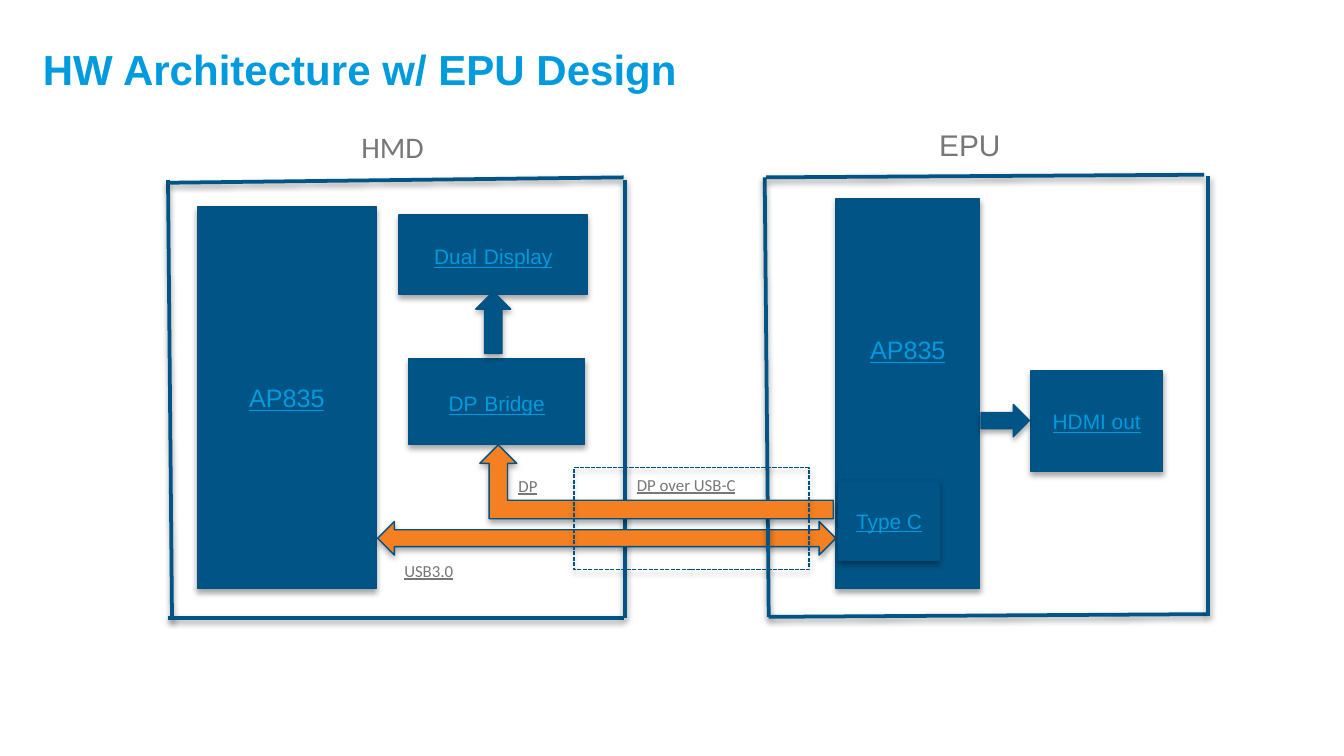
from dataclasses import dataclass

from lxml import etree
from pptx import Presentation
from pptx import util as u
from pptx.dml.color import RGBColor
from pptx.enum import dml, shapes, text
from pptx.oxml.ns import qn


@dataclass(frozen=True)
class Theme:
    """Colours, fonts and type sizes of the slide."""
    title: RGBColor = RGBColor(0x00, 0x9B, 0xDE)
    block_text: RGBColor = RGBColor(0x00, 0x9A, 0xDD)
    label: RGBColor = RGBColor(0x77, 0x77, 0x79)
    block: RGBColor = RGBColor(0x00, 0x54, 0x86)
    outline: RGBColor = RGBColor(0x00, 0x52, 0x83)
    signal: RGBColor = RGBColor(0xF5, 0x80, 0x21)
    heading_font: str = "Arial"
    label_font: str = "Calibri"
    title_size: float = 22.5
    unit_size: float = 16
    chip_size: float = 13.5
    block_size: float = 11.2
    label_size: float = 9
    outline_width: float = 0.75
    frame_width: float = 2


THEME = Theme()
PRESET = shapes.MSO_SHAPE
SLIDE_WIDTH = 10
SLIDE_HEIGHT = SLIDE_WIDTH * 9 / 16


def apply(target, values):
    """Set each named attribute on the target."""
    for name, value in values.items():
        setattr(target, name, value)


def inches(*values):
    """Turn plain numbers into lengths."""
    return [u.Inches(value) for value in values]


def add_shadow(shape, distance, opacity):
    """Give a shape or connector a soft shadow straight below it."""
    effects = etree.SubElement(shape._element.spPr, qn("a:effectLst"))
    shadow = etree.SubElement(effects, qn("a:outerShdw"), blurRad="40000",
                              dist=str(distance), dir="5400000", rotWithShape="0")
    colour = etree.SubElement(shadow, qn("a:srgbClr"), val="000000")
    etree.SubElement(colour, qn("a:alpha"), val=str(opacity * 1000))


def add_run(paragraph, words, size, colour, font=THEME.heading_font, **style):
    """Append one formatted run to a paragraph."""
    run = paragraph.add_run()
    run.text = words
    apply(run.font, {"size": u.Pt(size), "name": font, **style})
    run.font.color.rgb = colour


def add_label(slide, box, words, size, colour=THEME.label,
              anchor=text.MSO_ANCHOR.TOP, **style):
    """Add a wrapping text box with a single line."""
    frame = slide.shapes.add_textbox(*inches(*box)).text_frame
    apply(frame, {"word_wrap": True, "vertical_anchor": anchor})
    add_run(frame.paragraphs[0], words, size, colour, **style)


def add_figure(slide, preset, box, fill=THEME.block, rotation=0):
    """Add an outlined, shadowed preset shape; no fill leaves it hollow."""
    shape = slide.shapes.add_shape(preset, *inches(*box))
    shape.rotation = rotation
    if fill is None:
        shape.fill.background()
    else:
        shape.fill.solid()
        shape.fill.fore_color.rgb = fill
    shape.line.color.rgb = THEME.outline
    shape.line.width = u.Pt(THEME.outline_width)
    add_shadow(shape, 23000, 35)
    return shape


def add_block(slide, box, *words, size=THEME.block_size, bottom=0.05):
    """Add a hardware block whose words are parted by a wider space."""
    frame = add_figure(slide, PRESET.RECTANGLE, box).text_frame
    apply(frame, {"word_wrap": True, "margin_bottom": u.Inches(bottom),
                  "vertical_anchor": text.MSO_ANCHOR.MIDDLE})
    paragraph = frame.paragraphs[0]
    paragraph.alignment = text.PP_ALIGN.CENTER
    for index, word in enumerate(words):
        if index:
            add_run(paragraph, " ", THEME.chip_size, THEME.block_text, underline=True)
        add_run(paragraph, word, size, THEME.block_text, underline=True)


def add_frame(slide, sides):
    """Draw the lines that enclose one unit."""
    for side in sides:
        line = slide.shapes.add_connector(shapes.MSO_CONNECTOR.STRAIGHT, *inches(*side))
        line.line.color.rgb = THEME.block
        line.line.width = u.Pt(THEME.frame_width)
        add_shadow(line, 20000, 38)


def add_headset(slide):
    """Draw the HMD unit."""
    add_block(slide, (2.97, 1.6, 1.4, 0.59), "Dual", "Display")
    add_label(slide, (2.59, 0.91, 1.17, 0.46), "HMD", THEME.unit_size,
              font=THEME.label_font)
    for box, words in (((3.76, 3.49, 0.76, 0.31), "DP"),
                       ((4.64, 3.48, 1.28, 0.31), "DP over USB-C"),
                       ((2.91, 4.12, 0.73, 0.31), "USB3.0")):
        add_label(slide, box, words, THEME.label_size,
                  font=THEME.label_font, underline=True)
    add_block(slide, (3.04, 2.67, 1.31, 0.64), "DP", "Bridge")
    add_figure(slide, PRESET.DOWN_ARROW, (3.54, 2.17, 0.26, 0.46), rotation=180)
    add_block(slide, (1.47, 1.54, 1.33, 2.84), "AP835", size=THEME.chip_size)
    add_frame(slide, ((1.25, 1.34, 1.28, 4.61), (1.25, 1.36, 4.64, 1.32),
                      (1.25, 4.6, 4.64, 4.6), (4.65, 1.34, 4.65, 4.6)))


def add_processing_unit(slide):
    """Draw the EPU unit."""
    add_label(slide, (6.89, 0.89, 1.17, 0.47), "EPU", THEME.unit_size)
    add_block(slide, (6.22, 1.48, 1.07, 2.9), "AP835", size=THEME.chip_size, bottom=0.71)
    add_frame(slide, ((5.69, 1.32, 5.72, 4.59), (5.7, 1.32, 8.96, 1.3),
                      (5.72, 4.59, 8.98, 4.57), (8.99, 1.31, 8.99, 4.58)))
    add_block(slide, (7.67, 2.76, 0.98, 0.75), "HDMI out")
    add_figure(slide, PRESET.RIGHT_ARROW, (7.3, 3.01, 0.36, 0.24))


def add_display_link(slide):
    """Draw the DP path, its cable outline and the Type C port."""
    path_arrow = add_figure(slide, PRESET.BENT_UP_ARROW, (3.57, 3.31, 2.63, 0.55),
                            THEME.signal, rotation=180)
    path_arrow._element.spPr.xfrm.set("flipV", "1")
    cable = add_figure(slide, PRESET.RECTANGLE, (4.27, 3.48, 1.75, 0.76), None)
    cable.line.dash_style = dml.MSO_LINE.SQUARE_DOT
    add_block(slide, (6.24, 3.58, 0.75, 0.59), "Type C")


def main():
    """Build and save the slide."""
    presentation = Presentation()
    apply(presentation, {"slide_width": u.Inches(SLIDE_WIDTH),
                         "slide_height": u.Inches(SLIDE_HEIGHT)})
    slide = presentation.slides.add_slide(presentation.slide_layouts[6])
    add_label(slide, (0.22, 0.26, 9.61, 0.51), "HW Architecture w/ EPU Design",
              THEME.title_size, THEME.title, text.MSO_ANCHOR.MIDDLE, bold=True)
    add_headset(slide)
    add_figure(slide, PRESET.LEFT_RIGHT_ARROW, (2.81, 3.88, 3.41, 0.25), THEME.signal)
    add_processing_unit(slide)
    add_display_link(slide)
    presentation.save("out.pptx")


if __name__ == "__main__":
    main()
